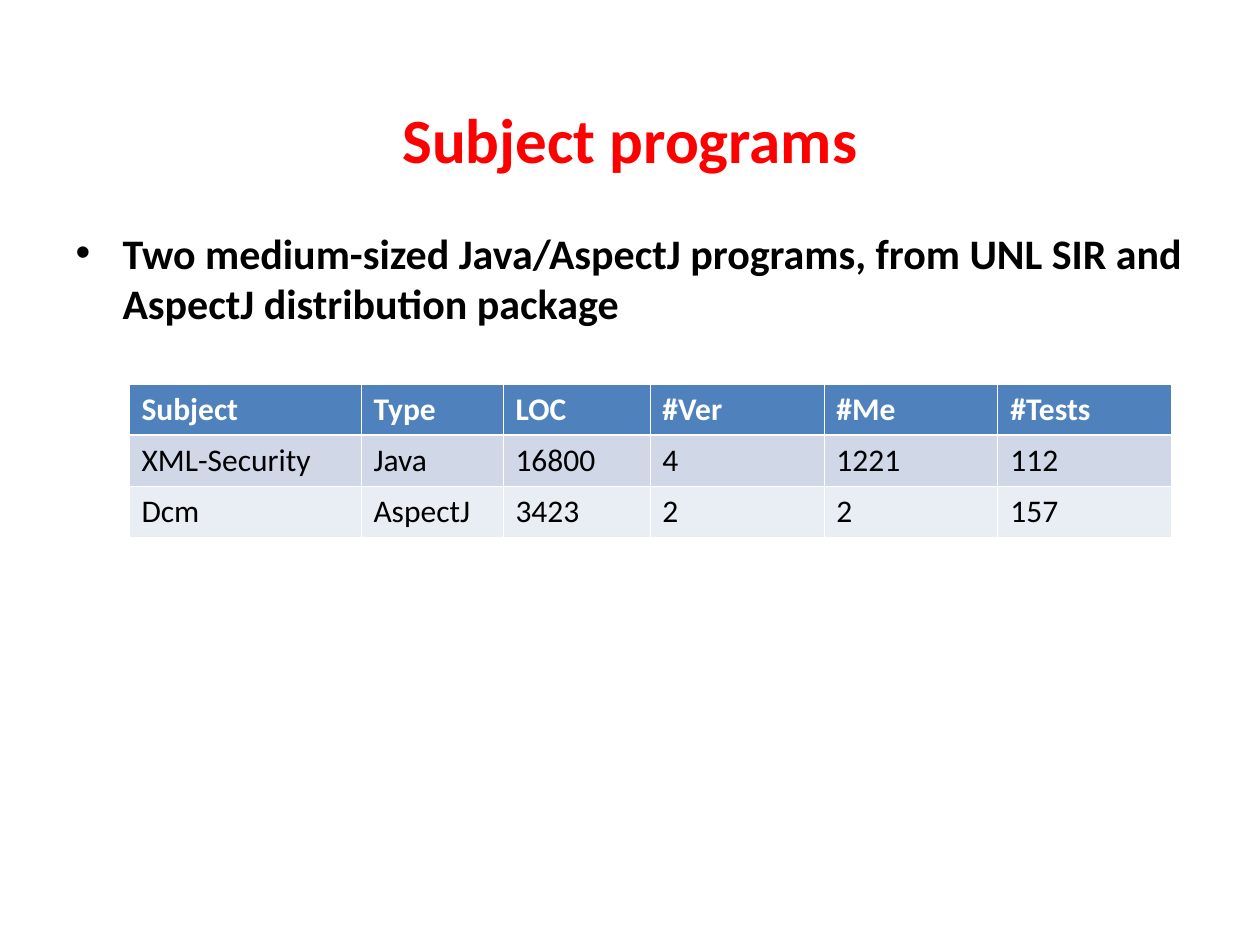
"""Build the slide on subject programs with its table of sizes."""
import dataclasses
import typing

import lxml.etree
import pptx
import pptx.dml.color
import pptx.enum.text
import pptx.oxml.ns
import pptx.util

RGB = pptx.dml.color.RGBColor
ALIGN = pptx.enum.text.PP_ALIGN
ANCHOR = pptx.enum.text.MSO_ANCHOR
qn = pptx.oxml.ns.qn

RED = RGB(0xFF, 0x00, 0x00)
BLACK = RGB(0x00, 0x00, 0x00)
WHITE = RGB(0xFF, 0xFF, 0xFF)
BLUE = RGB(0x4F, 0x81, 0xBD)
MIST = RGB(0xD0, 0xD8, 0xE8)
PALE = RGB(0xE9, 0xED, 0xF4)

SCALE = 914400 / 126
THIN, THICK = 0.45, 1.47
WIDTHS = (232, 142, 147, 174, 174, 174)
HEIGHT = 51


@dataclasses.dataclass(frozen=True)
class Box:
    left: int
    top: int
    width: int
    height: int


@dataclasses.dataclass(frozen=True)
class Row:
    cells: tuple[str, ...]
    fill: RGB
    color: RGB = BLACK
    bold: bool = False
    above: float = THIN
    below: float = THIN


ROWS = (
    Row(("Subject", "Type", "LOC", "#Ver", "#Me", "#Tests"), BLUE, WHITE, True, below=THICK),
    Row(("XML-Security", "Java", "16800", "4", "1221", "112"), MIST, above=THICK),
    Row(("Dcm", "AspectJ", "3423", "2", "2", "157"), PALE),
)


def px(count: int) -> int:
    return round(count * SCALE)


def place(shape: typing.Any, box: Box) -> None:
    shape.left, shape.top = px(box.left), px(box.top)
    shape.width, shape.height = px(box.width), px(box.height)


def write(frame: typing.Any, text: str, *, size: int, color: RGB = BLACK,
          bold: bool = False, align: ALIGN = ALIGN.LEFT,
          anchor: ANCHOR = ANCHOR.TOP, indent: int = 0) -> None:
    frame.text = text
    frame.word_wrap = True
    frame.vertical_anchor = anchor
    para = frame.paragraphs[0]
    para.alignment = align
    para.space_before = pptx.util.Pt(0)
    if indent:
        mark(para, indent)
    font = para.runs[0].font
    font.name, font.size, font.bold = "Calibri", pptx.util.Pt(size), bold
    font.color.rgb = color


def mark(para: typing.Any, indent: int) -> None:
    props = para._p.get_or_add_pPr()
    props.set("marL", str(px(indent)))
    props.set("indent", str(-px(indent)))
    tint = lxml.etree.SubElement(props, qn("a:buClr"))
    lxml.etree.SubElement(tint, qn("a:srgbClr"), val=str(BLACK))
    lxml.etree.SubElement(props, qn("a:buFont"), typeface="Arial")
    lxml.etree.SubElement(props, qn("a:buChar"), char="•")


def edge(cell: typing.Any, row: Row) -> None:
    props = cell._tc.get_or_add_tcPr()
    sides = {"lnL": THIN, "lnR": THIN, "lnT": row.above, "lnB": row.below}
    for side, width in sides.items():
        line = lxml.etree.SubElement(props, qn(f"a:{side}"), w=str(pptx.util.Pt(width)))
        fill = lxml.etree.SubElement(line, qn("a:solidFill"))
        lxml.etree.SubElement(fill, qn("a:srgbClr"), val=str(WHITE))


def grid(slide: typing.Any, left: int, top: int) -> None:
    frame = slide.shapes.add_table(len(ROWS), len(WIDTHS), px(left), px(top),
                                   px(sum(WIDTHS)), px(HEIGHT * len(ROWS)))
    table = frame.table
    for column, width in zip(table.columns, WIDTHS):
        column.width = px(width)
    for line, row in zip(table.rows, ROWS):
        line.height = px(HEIGHT)
        for cell, text in zip(line.cells, row.cells):
            edge(cell, row)
            cell.fill.solid()
            cell.fill.fore_color.rgb = row.fill
            write(cell.text_frame, text, size=18, color=row.color, bold=row.bold)


def main() -> None:
    deck = pptx.Presentation()
    deck.slide_width, deck.slide_height = px(1260), px(945)
    slide = deck.slides.add_slide(deck.slide_layouts[1])
    title, body = slide.placeholders
    place(title, Box(63, 59, 1134, 158))
    write(title.text_frame, "Subject programs", size=36, color=RED, bold=True,
          align=ALIGN.CENTER, anchor=ANCHOR.MIDDLE)
    place(body, Box(63, 221, 1134, 624))
    write(body.text_frame,
          "Two medium-sized Java/AspectJ programs, from UNL SIR and "
          "AspectJ distribution package", size=24, bold=True, indent=47)
    for shape in (title, body):
        shape.text_frame.auto_size = pptx.enum.text.MSO_AUTO_SIZE.NONE
    grid(slide, 129, 384)
    deck.save("out.pptx")


if __name__ == "__main__":
    main()
